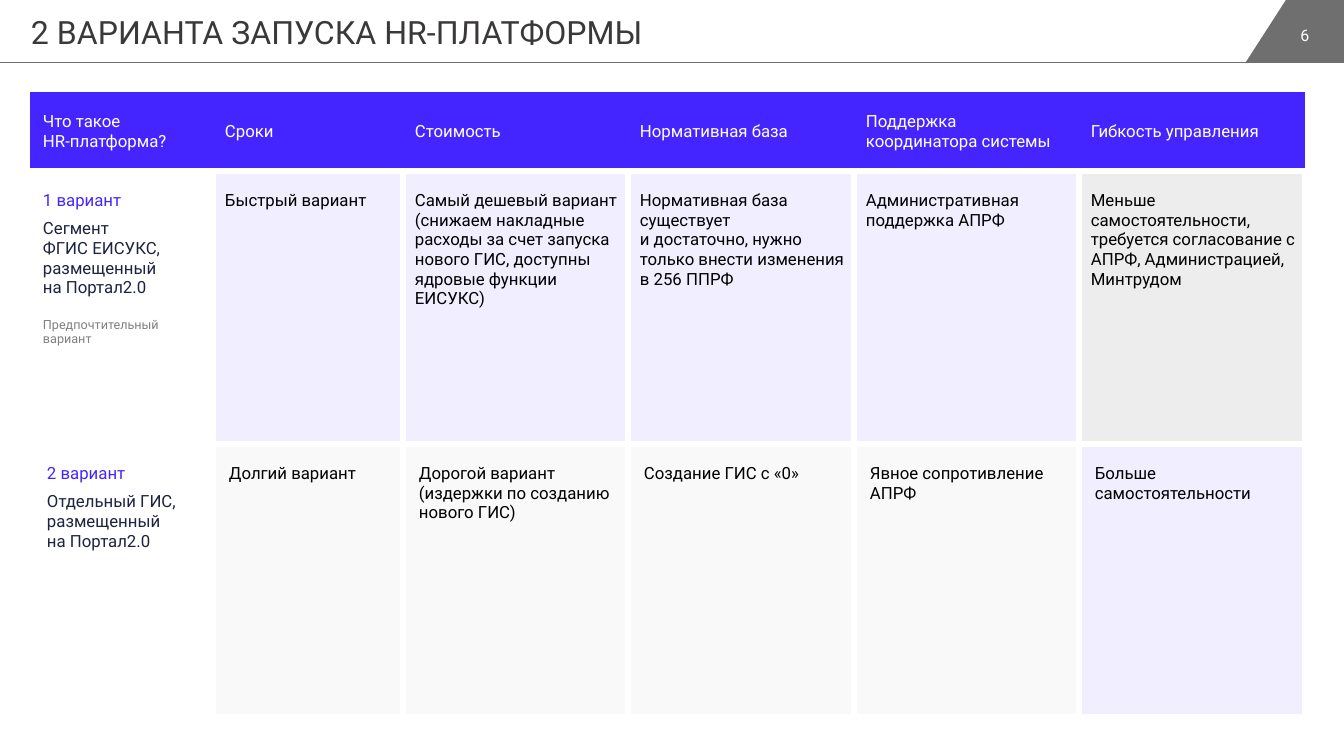
from copy import deepcopy

from lxml.etree import SubElement
from pptx import Presentation
from pptx.dml.color import RGBColor
from pptx.enum.shapes import MSO_CONNECTOR
from pptx.enum.text import MSO_ANCHOR, PP_ALIGN
from pptx.oxml.ns import qn
from pptx.util import Emu, Pt

WHITE = RGBColor(0xFF, 0xFF, 0xFF)
BLACK = RGBColor(0x00, 0x00, 0x00)
BLUE = RGBColor(0x45, 0x25, 0xFF)
NAVY = RGBColor(0x1E, 0x23, 0x40)
GRAY = RGBColor(0x80, 0x80, 0x80)
CHARCOAL = RGBColor(0x40, 0x40, 0x40)
TITLE = RGBColor(0x3B, 0x38, 0x38)
CORNER = RGBColor(0x70, 0x6F, 0x6F)
W, H = 1344, 756
BAR_H = 62

# Cell fills: colour and opacity in percent
LILAC, DIM, PALE = (BLUE, 7), (CHARCOAL, 9), (CHARCOAL, 3)

COLS = [182, 190, 225, 226, 225, 226]
ROWS = [78, 273, 273]
HEADER = ["Что такое\vHR-платформа?", "Сроки", "Стоимость", "Нормативная база",
          "Поддержка\nкоординатора системы", "Гибкость управления"]

# Each option: left inset, lines of the first cell, then (text, fill) for the rest
OPTIONS = [
    (12, [("1 вариант", {"color": BLUE, "space_after": 6}),
          ("Сегмент\vФГИС ЕИСУКС, размещенный\vна Портал2.0", {"color": NAVY}),
          ("Предпочтительный вариант", {"color": GRAY, "size": 9, "space_before": 14})],
     [("Быстрый вариант", LILAC),
      ("Самый дешевый вариант (снижаем накладные расходы за счет запуска "
       "нового ГИС, доступны ядровые функции ЕИСУКС)", LILAC),
      ("Нормативная база существует\vи достаточно, нужно только внести "
       "изменения в 256 ППРФ", LILAC),
      ("Административная поддержка АПРФ", LILAC),
      ("Меньше самостоятельности, требуется согласование с АПРФ, "
       "Администрацией, Минтрудом", DIM)]),
    (16, [("2 вариант", {"color": BLUE, "space_after": 6}),
          ("Отдельный ГИС, размещенный\vна Портал2.0", {"color": NAVY})],
     [("Долгий вариант", PALE),
      ("Дорогой вариант (издержки по созданию нового ГИС)", PALE),
      ("Создание ГИС с «0»", PALE),
      ("Явное сопротивление АПРФ", PALE),
      ("Больше самостоятельности", LILAC)]),
]


def px(n):
    return Emu(round(n * 914400 / 100.8))


def write(tf, lines):
    """Write (text, format) pairs, one paragraph each."""
    for i, (text, fmt) in enumerate(lines):
        p = tf.paragraphs[0] if i == 0 else tf.add_paragraph()
        p.text = text
        for name in ("alignment", "space_before", "space_after"):
            if name in fmt:
                value = fmt[name]
                setattr(p, name, value if name == "alignment" else Pt(value))
        for r in p.runs:
            for name, value in {"name": "Roboto", "size": Pt(fmt.get("size", 12))}.items():
                setattr(r.font, name, value)
            r.font.color.rgb = fmt["color"]
        # Line breaks take the run's size so that line heights stay even
        for br in p._p.findall(qn("a:br")):
            br.insert(0, deepcopy(p.runs[0].font._element))


def add_text(slide, box, text, fmt, frame):
    tf = slide.shapes.add_textbox(*map(px, box)).text_frame
    for name, value in {"word_wrap": True, **frame}.items():
        setattr(tf, name, value)
    write(tf, [(text, fmt)])


def set_borders(cell, borders):
    tc_pr = cell._tc.get_or_add_tcPr()
    for side, (color, width) in borders.items():
        ln = SubElement(tc_pr, qn(f"a:ln{side}"), w=str(Pt(width)))
        SubElement(SubElement(ln, qn("a:solidFill")), qn("a:srgbClr"), val=str(color))


def fill_cell(cell, fill):
    if fill is None:
        cell.fill.background()
        return
    color, opacity = fill
    cell.fill.solid()
    cell.fill.fore_color.rgb = color
    if opacity < 100:
        clr = cell._tc.tcPr.find(qn("a:solidFill")).find(qn("a:srgbClr"))
        SubElement(clr, qn("a:alpha"), val=str(opacity * 1000))


def set_cell(cell, lines, fill, borders, insets, anchor):
    set_borders(cell, borders)
    fill_cell(cell, fill)
    for side, inset in zip(("left", "top", "right", "bottom"), insets):
        setattr(cell, f"margin_{side}", px(inset))
    cell.vertical_anchor = anchor
    write(cell.text_frame, lines)


def add_title_bar(slide):
    line = slide.shapes.add_connector(
        MSO_CONNECTOR.STRAIGHT, 0, px(BAR_H), px(W), px(BAR_H))
    line.line.color.rgb = CORNER
    line.line.width = Pt(0.5)
    SubElement(line._element.spPr, qn("a:effectLst"))

    fb = slide.shapes.build_freeform(1286, 0, scale=px(1))
    fb.add_line_segments([(W, 0), (W, BAR_H), (1246, BAR_H)], close=True)
    sp = fb.convert_to_shape()
    sp.shadow.inherit = False
    sp.fill.solid()
    sp.fill.fore_color.rgb = CORNER
    sp.line.fill.background()

    add_text(slide, (1275, 15, 60, 40), "6",
             {"color": WHITE, "size": 11.4, "alignment": PP_ALIGN.CENTER},
             {"vertical_anchor": MSO_ANCHOR.MIDDLE})
    add_text(slide, (31, 12, 778, 38), "2 ВАРИАНТА ЗАПУСКА HR-ПЛАТФОРМЫ",
             {"color": TITLE, "size": 22.9},
             {f"margin_{side}": 0 for side in ("left", "top", "right", "bottom")})


def add_options_table(slide):
    frame = slide.shapes.add_table(len(ROWS), len(COLS), px(31), px(93),
                                   px(sum(COLS)), px(sum(ROWS)))
    table = frame.table
    table.first_row = table.horz_banding = False
    for col, width in zip(table.columns, COLS):
        col.width = px(width)
    for row, height in zip(table.rows, ROWS):
        row.height = px(height)

    # Header row
    gap = (WHITE, 4.5)
    borders = {side: (BLUE, 1) for side in "LRT"} | {"B": gap}
    for c, text in enumerate(HEADER):
        lines = [(part, {"color": WHITE}) for part in text.split("\n")]
        set_cell(table.cell(0, c), lines, (BLUE, 100), borders,
                 (12, 4, 8, 4), MSO_ANCHOR.MIDDLE)

    # Option rows
    borders = {side: gap for side in "LRTB"}
    for r, (inset, name, values) in enumerate(OPTIONS, 1):
        cells = [(name, None)]
        cells += [([(text, {"color": BLACK})], fill) for text, fill in values]
        for c, (lines, fill) in enumerate(cells):
            set_cell(table.cell(r, c), lines, fill, borders,
                     (inset, 20, 8, 0), MSO_ANCHOR.TOP)


def main():
    prs = Presentation()
    prs.slide_width, prs.slide_height = px(W), px(H)
    slide = prs.slides.add_slide(prs.slide_layouts[6])
    add_title_bar(slide)
    add_options_table(slide)
    prs.save("out.pptx")


if __name__ == "__main__":
    main()
